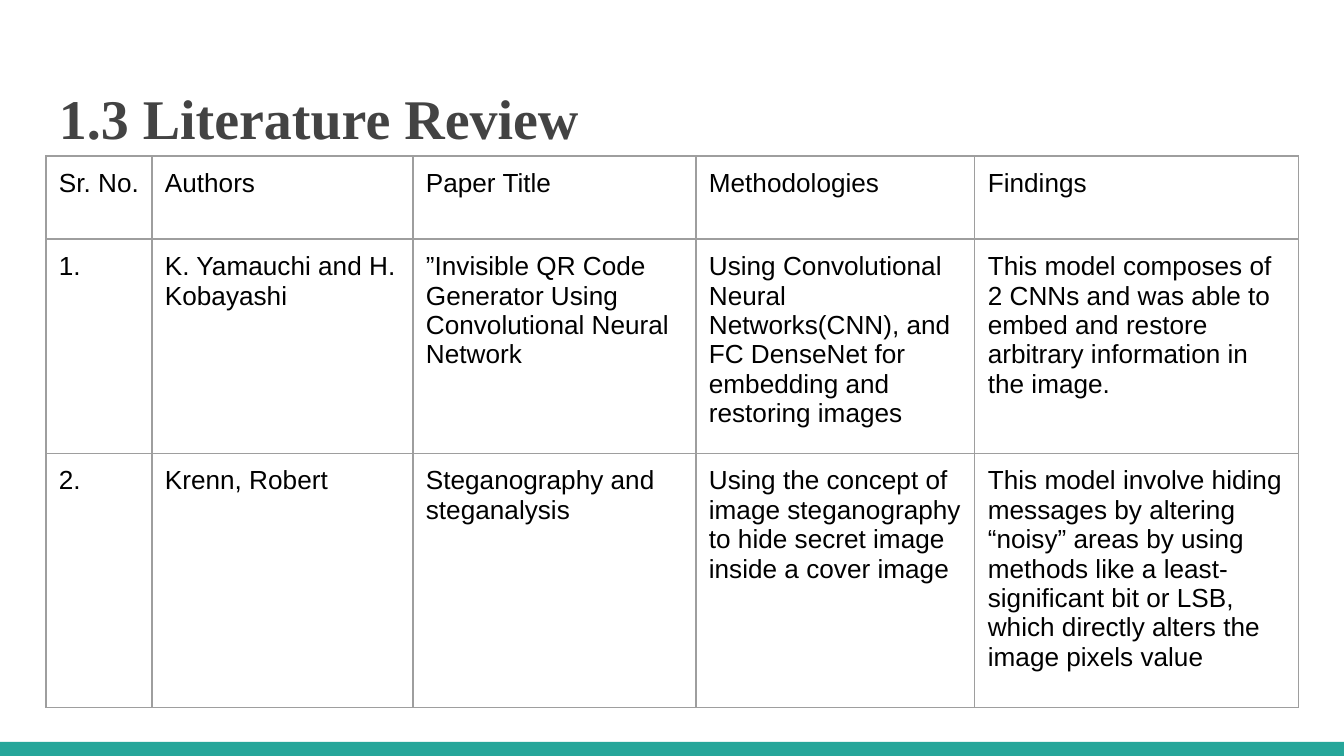
from typing import NamedTuple

from lxml import etree
from pptx import Presentation
from pptx.dml.color import RGBColor
from pptx.enum.shapes import MSO_SHAPE
from pptx.enum.text import MSO_ANCHOR
from pptx.oxml.ns import qn
from pptx.util import Emu, Pt

RECT = MSO_SHAPE.RECTANGLE
TOP = MSO_ANCHOR.TOP
TEAL = RGBColor(0x26, 0xA6, 0x9A)
DARK = RGBColor(0x43, 0x43, 0x43)
BLACK = RGBColor(0, 0, 0)
GREY = RGBColor(0x9E, 0x9E, 0x9E)
SCALE = 914400 / 134.4
PAD = 13
EDGE = Pt(0.75)


class Box(NamedTuple):
    left: int
    top: int
    width: int
    height: int


class Font(NamedTuple):
    name: str
    size: int
    color: RGBColor
    bold: bool = False


class Row(NamedTuple):
    height: int
    texts: tuple[str, ...]


HEAD = Font("Times New Roman", 30, DARK, True)
BODY = Font("Arial", 14, BLACK)
COLS = (106, 261, 283, 279, 324)
ROWS = (
    Row(83, ("Sr. No.", "Authors", "Paper Title", "Methodologies", "Findings")),
    Row(202, (
        "1.",
        "K. Yamauchi and H. Kobayashi",
        "”Invisible QR Code Generator Using Convolutional Neural Network",
        "Using Convolutional Neural Networks(CNN), and FC DenseNet for "
        "embedding and restoring images",
        "This model composes of 2 CNNs and was able to embed and restore "
        "arbitrary information in the image.",
    )),
    Row(254, (
        "2.",
        "Krenn, Robert",
        "Steganography and steganalysis",
        "Using the concept of image steganography to hide secret image "
        "inside a cover image",
        "This model involve hiding messages by altering “noisy” areas by "
        "using methods like a least-significant bit or LSB, which directly "
        "alters the image pixels value",
    )),
)


def px(n: int) -> Emu:
    return Emu(round(n * SCALE))


def place(box: Box) -> tuple[Emu, ...]:
    return tuple(px(n) for n in box)


def pad(item, top: int = PAD) -> None:
    item.margin_left = item.margin_right = item.margin_bottom = px(PAD)
    item.margin_top = px(top)


def write(frame, text: str, font: Font) -> None:
    run = frame.paragraphs[0].add_run()
    run.text = text
    run.font.name = font.name
    run.font.size = Pt(font.size)
    run.font.bold = font.bold
    run.font.color.rgb = font.color


def add_bar(slide, box: Box) -> None:
    bar = slide.shapes.add_shape(RECT, *place(box))
    bar.shadow.inherit = False
    bar.fill.solid()
    bar.fill.fore_color.rgb = TEAL
    bar.line.fill.background()


def add_title(slide, box: Box, text: str) -> None:
    frame = slide.shapes.add_textbox(*place(box)).text_frame
    frame.word_wrap = True
    frame.vertical_anchor = TOP
    pad(frame, 18)
    write(frame, text, HEAD)


def add_edges(cell) -> None:
    props = cell._tc.get_or_add_tcPr()
    for i, side in enumerate(("a:lnL", "a:lnR", "a:lnT", "a:lnB")):
        line = etree.Element(qn(side), w=str(EDGE))
        fill = etree.SubElement(line, qn("a:solidFill"))
        etree.SubElement(fill, qn("a:srgbClr"), val=str(GREY))
        props.insert(i, line)


def add_grid(slide, left: int, top: int) -> None:
    box = Box(left, top, sum(COLS), sum(row.height for row in ROWS))
    grid = slide.shapes.add_table(len(ROWS), len(COLS), *place(box)).table
    grid.first_row = False
    grid.horz_banding = False
    for col, width in zip(grid.columns, COLS):
        col.width = px(width)
    for line, row in zip(grid.rows, ROWS):
        line.height = px(row.height)
        for cell, text in zip(line.cells, row.texts):
            cell.fill.background()
            pad(cell)
            write(cell.text_frame, text, BODY)
            add_edges(cell)


def main() -> None:
    deck = Presentation()
    deck.slide_width, deck.slide_height = px(1344), px(756)
    slide = deck.slides.add_slide(deck.slide_layouts[6])
    add_bar(slide, Box(0, 742, 1344, 14))
    add_title(slide, Box(46, 66, 1252, 90), "1.3 Literature Review")
    add_grid(slide, 46, 156)
    deck.save("out.pptx")


if __name__ == "__main__":
    main()
